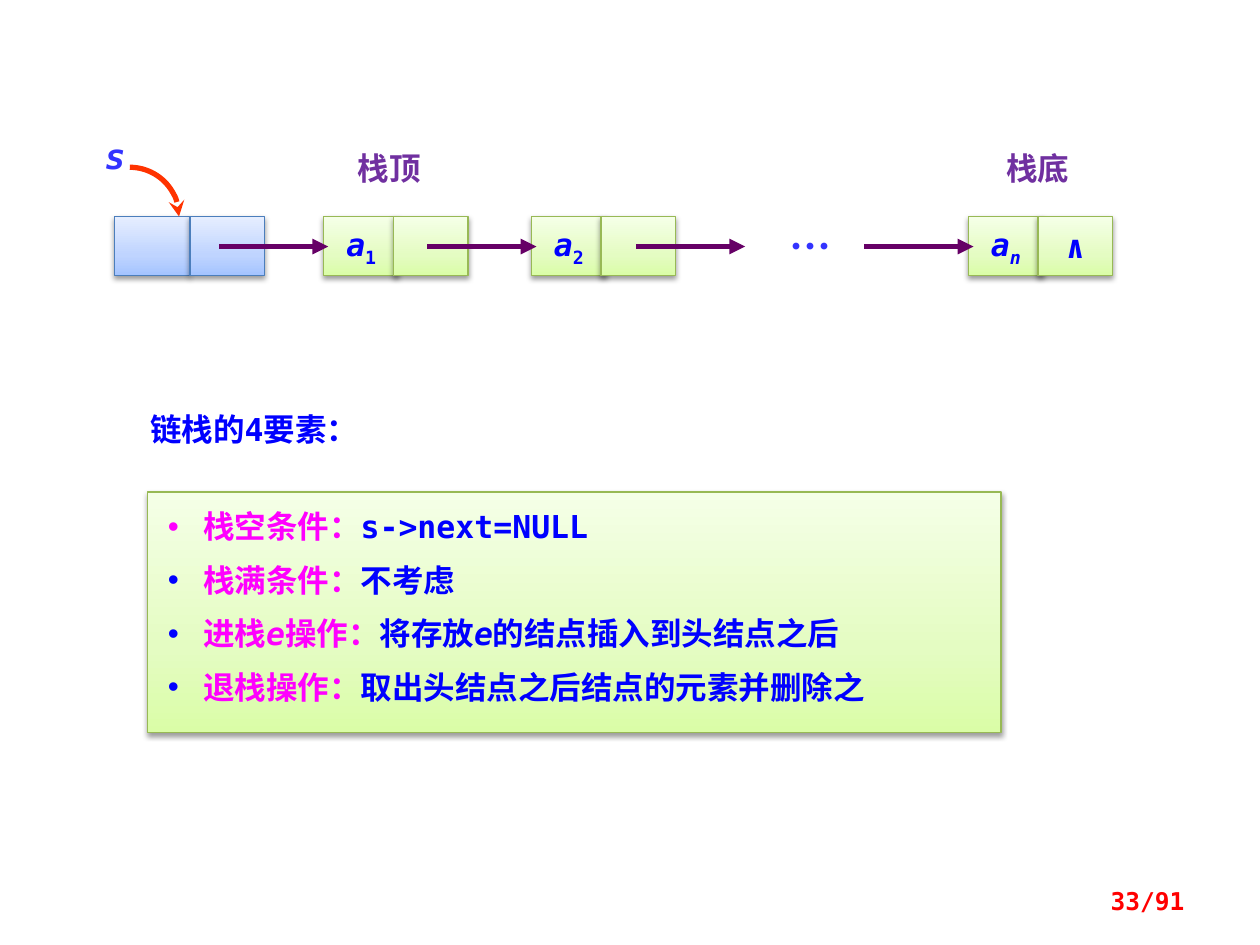
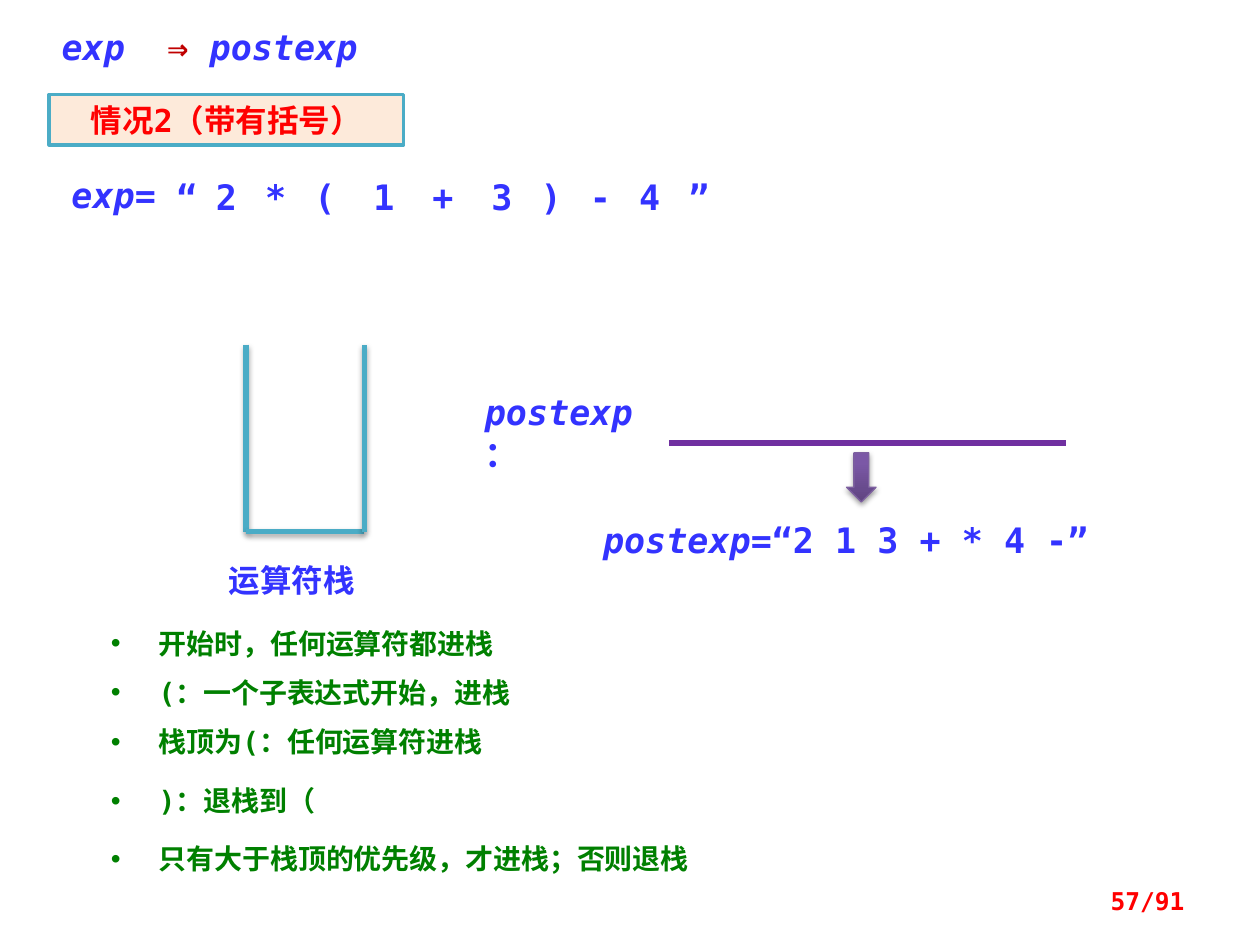
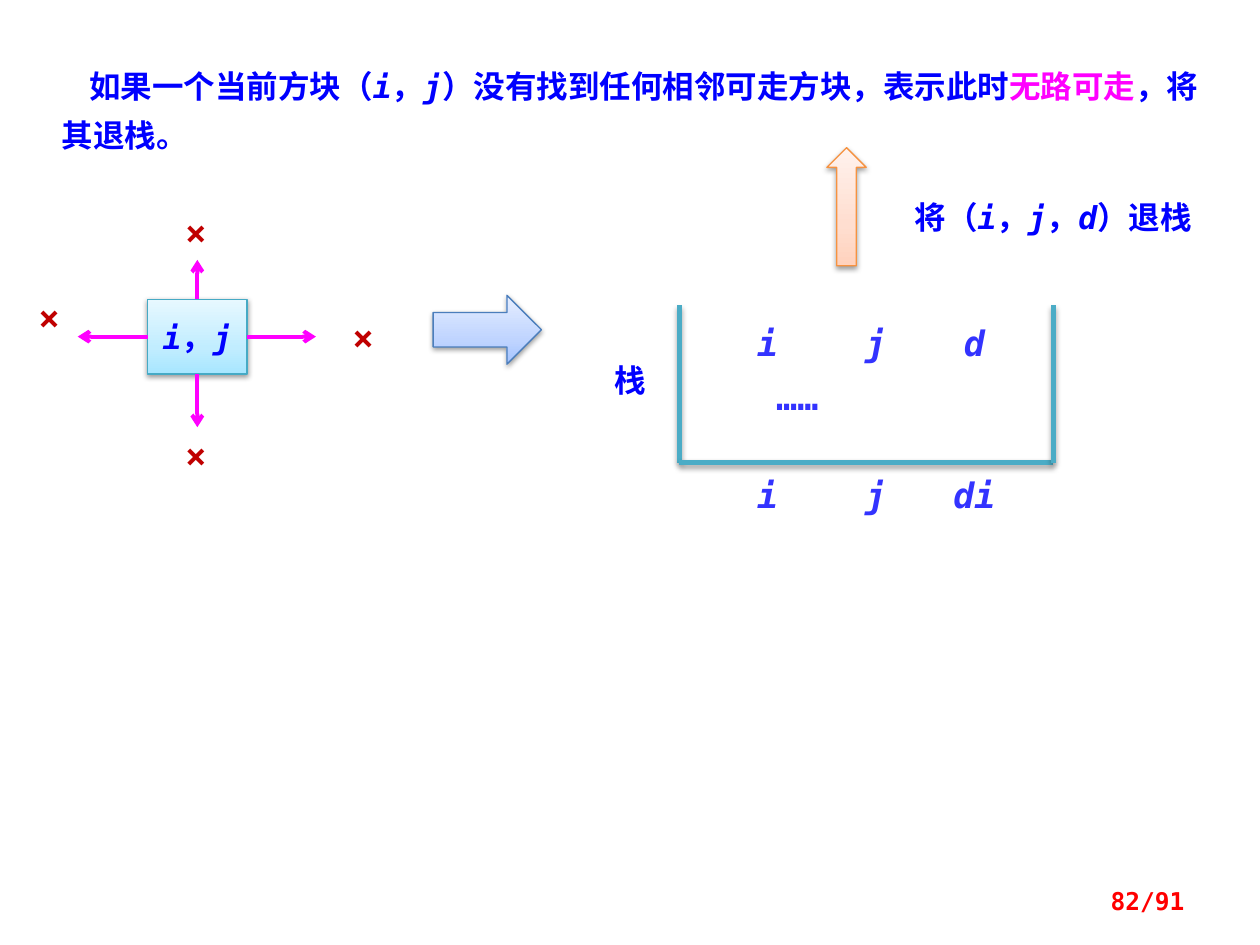
from lxml import etree
from pptx import Presentation, util as u
from pptx.dml.color import RGBColor
from pptx.enum import shapes, text
from pptx.oxml.ns import qn

COLUMNS, ROWS = 128, 96
MONO, CJK = "DejaVu Sans Mono", "Noto Sans CJK SC"
PAGE_COUNT = 91
COLORS = {
    "blue": "0000FF", "indigo": "3333FF", "magenta": "FF00FF", "red": "FF0000",
    "crimson": "C00000", "violet": "7030A0", "plum": "660066", "green": "008000",
    "orange": "FF3300", "teal": "4BACC6", "cream": "FDEADA", "black": "000000",
}
# Each theme: outline colour, then gradient stops from bottom to top
GRADIENTS = {
    "lime": ("98B955", {0: "DAFDA7", 35: "E4FCC2", 100: "F5FFE7"}),
    "sky": ("4B7EBC", {0: "A4C4FF", 35: "BFD4FF", 100: "E6EEFF"}),
    "aqua": ("46AAC5", {0: "A7E6FF", 35: "C1EDFF", 100: "E7F8FF"}),
    "peach": ("F69240", {0: "FFD2BD", 35: "FFDED0", 100: "FFF2ED"}),
    "purple": ("7D60A0", {0: "5F4480", 80: "7B58A6", 100: "7C57A8"}),
}
ALIGN = {"left": text.PP_ALIGN.LEFT, "center": text.PP_ALIGN.CENTER,
         "right": text.PP_ALIGN.RIGHT}
ITALIC, UPRIGHT = {"italic": True}, {"italic": False}
SYMBOL = dict(size=20, color="indigo")
VARIABLE = dict(SYMBOL, italic=True)


def rgb(name):
    return RGBColor.from_string(COLORS.get(name, name))


def add_xml(parent, tag, **attributes):
    return etree.SubElement(parent, qn(f"a:{tag}"),
                            {key: str(value) for key, value in attributes.items()})


def add_bullet(para, color, indent):
    props = para._p.get_or_add_pPr()
    props.set("marL", str(u.Inches(indent)))
    props.set("indent", str(-u.Inches(indent)))
    add_xml(add_xml(props, "buClr"), "srgbClr", val=COLORS[color])
    add_xml(props, "buFont", typeface="Arial")
    add_xml(props, "buChar", char="•")


def write_span(para, words, size=18, font=MONO, color="blue", bold=True,
               italic=False, baseline=0):
    span = para.add_run()
    span.text = words
    span.font.size, span.font.name = u.Pt(size), font
    span.font.bold, span.font.italic = bold, italic
    span.font.color.rgb = rgb(color)
    props = span._r.get_or_add_rPr()
    if baseline:
        props.set("baseline", str(baseline * 1000))
    add_xml(props, "ea", typeface=font)


def write(para, spans, align="left", bullet=None, indent=0.38, first_line=0,
          tab=None, line_pt=None, before=0, **style):
    """Fill a paragraph; spans is a string or a list of strings and (string, style)."""
    para.alignment = ALIGN[align]
    if before:
        para.space_before = u.Pt(before)
    if line_pt:
        para.line_spacing = u.Pt(line_pt)
    if first_line:
        para._p.get_or_add_pPr().set("indent", str(u.Inches(first_line)))
    if bullet:
        add_bullet(para, bullet, indent)
    if tab:
        stops = add_xml(para._p.get_or_add_pPr(), "tabLst")
        add_xml(stops, "tab", pos=u.Inches(tab), algn="l")
    for span in [spans] if isinstance(spans, str) else spans:
        words, change = (span, {}) if isinstance(span, str) else span
        write_span(para, words, **{**style, **change})


class Board:
    """Draws on the current slide; all places are in grid columns and rows."""

    def __init__(self):
        self.deck = Presentation()
        self.deck.slide_width, self.deck.slide_height = u.Inches(10), u.Inches(7.5)
        self.page = None

    def new_page(self, number):
        self.page = self.deck.slides.add_slide(self.deck.slide_layouts[6])
        self.text(91.8, 89, 29.8, f"{number}/{PAGE_COUNT}", height=5.1,
                  middle=True, align="right", size=14, color="red")

    def grid(self, *places):
        """Turn alternating columns and rows into lengths."""
        units = self.deck.slide_width / COLUMNS, self.deck.slide_height / ROWS
        return [round(place * units[i % 2]) for i, place in enumerate(places)]

    def text(self, left, top, width, spans, height=5.6, inset=True, middle=False,
             **style):
        box = self.page.shapes.add_textbox(*self.grid(left, top, width, height))
        frame = box.text_frame
        frame.word_wrap = True
        if middle:
            frame.vertical_anchor = text.MSO_ANCHOR.MIDDLE
        if not inset:
            frame.margin_left = frame.margin_right = 0
            frame.margin_top = frame.margin_bottom = 0
        write(frame.paragraphs[0], spans, **style)

    def shadow(self, effects, alpha, distance):
        shade = add_xml(effects, "outerShdw", blurRad=u.Pt(3.1), dist=u.Pt(distance),
                        dir=5400000, rotWithShape=0)
        color = add_xml(shade, "srgbClr", val=COLORS["black"])
        add_xml(color, "alpha", val=alpha * 1000)

    def shape(self, kind, left, top, width, height, theme):
        shape = self.page.shapes.add_shape(
            getattr(shapes.MSO_SHAPE, kind), *self.grid(left, top, width, height))
        outline, stops = GRADIENTS[theme]
        shape.line.color.rgb, shape.line.width = rgb(outline), u.Pt(0.75)
        shape.fill.gradient()
        shape.fill.gradient_angle = 90
        props = shape._element.spPr
        stop_list = props.find(".//" + qn("a:gsLst"))
        stop_list.clear()
        for place, color in stops.items():
            add_xml(add_xml(stop_list, "gs", pos=place * 1000), "srgbClr", val=color)
        shape.shadow.inherit = False
        self.shadow(props.find(qn("a:effectLst")), 38, 1.6)
        return shape

    def cell(self, left, top, width, height, theme, spans=None):
        box = self.shape("RECTANGLE", left, top, width, height, theme)
        if spans:
            box.text_frame.word_wrap = False
            box.text_frame.vertical_anchor = text.MSO_ANCHOR.MIDDLE
            write(box.text_frame.paragraphs[0], spans, align="center")
        return box

    def line(self, start, end, color, width=3, head=None, shaded=False,
             source=None, side=0):
        line = self.page.shapes.add_connector(
            shapes.MSO_CONNECTOR.STRAIGHT, *self.grid(*start, *end))
        if source is not None:
            line.begin_connect(source, side)
        line.line.color.rgb, line.line.width = rgb(color), u.Pt(width)
        if head:
            add_xml(line.line._get_or_add_ln(), "tailEnd", type=head)
        effects = add_xml(line._element.spPr, "effectLst")
        if shaded:
            self.shadow(effects, 35, 1.8)

    def open_stack(self, left, top, right, bottom):
        corners = [(left, top), (left, bottom), (right, bottom), (right, top)]
        for start, end in zip(corners, corners[1:]):
            self.line(start, end, "teal", shaded=True)

    def curved_arrow(self, left, top, size):
        arc = self.page.shapes.add_shape(
            shapes.MSO_SHAPE.ARC, *self.grid(left, top, size, size))
        arc.shadow.inherit = False
        arc.fill.background()
        arc.line.color.rgb, arc.line.width = rgb("orange"), u.Pt(3)
        add_xml(arc.line._get_or_add_ln(), "tailEnd", type="stealth")


def linked_stack(board):
    board.new_page(33)
    board.text(14, 41, 32.3, "链栈的4要素：")

    panel = board.shape("RECTANGLE", 15, 50, 86.7, 24.4, "lime")
    frame = panel.text_frame
    frame.vertical_anchor = text.MSO_ANCHOR.TOP
    frame.margin_left = frame.margin_right = u.Inches(0.16)
    frame.margin_top = frame.margin_bottom = u.Inches(0.12)
    elements = [
        ("栈空条件：", ["s->next=NULL"]),
        ("栈满条件：", ["不考虑"]),
        (["进栈", ("e", ITALIC), "操作："],
         ["将存放", ("e", ITALIC), "的结点插入到头结点之后"]),
        ("退栈操作：", ["取出头结点之后结点的元素并删除之"]),
    ]
    for index, (label, meaning) in enumerate(elements):
        para = frame.paragraphs[0] if index == 0 else frame.add_paragraph()
        pink = {"color": "magenta"}
        parts = [label] if isinstance(label, str) else label
        label_spans = [(part, pink) if isinstance(part, str)
                       else (part[0], {**part[1], **pink}) for part in parts]
        write(para, label_spans + meaning, indent=0.28, before=9 if index else 0,
              bullet="blue" if index else "magenta")

    top, height, width, step = 22, 6, 7.6, 7.05
    for left in (11.65, 19.3):
        board.cell(left, top, width, height, "sky")
    nodes = [(32.9, "1", UPRIGHT, None), (54, "2", UPRIGHT, None),
             (98.4, "n", ITALIC, "∧")]
    for left, number, slant, link in nodes:
        name = [("a", ITALIC), (number, {**slant, "baseline": -25})]
        board.cell(left, top, width, height, "lime", name)
        board.cell(left + step, top, width, height, "lime", link)
    for left in (22.25, 43.4, 64.6, 87.8):
        board.line((left, 25.05), (left + 11.1, 25.05), "plum", head="triangle")
    board.text(76.2, 21.8, 12.2, "…", height=6.4, align="center",
               size=24, font=CJK, color="indigo")

    board.curved_arrow(8.2, 17, 10)
    board.text(8.7, 13, 6, "s", align="center", **VARIABLE)
    for left, label in ((32.5, "栈顶"), (98.4, "栈底")):
        board.text(left, 14.5, 14.1, label, align="center", font=CJK, color="violet")


def postfix_conversion(board):
    board.new_page(57)
    board.text(5, 2, 35, ["exp\t", ("⇒ ", {"color": "crimson", **UPRIGHT}), "postexp"],
               tab=0.84, **VARIABLE)
    banner = board.page.shapes.add_shape(
        shapes.MSO_SHAPE.RECTANGLE, *board.grid(5, 9.6, 36, 5.12))
    banner.shadow.inherit = False
    banner.fill.solid()
    banner.fill.fore_color.rgb = rgb("cream")
    banner.line.color.rgb, banner.line.width = rgb("teal"), u.Pt(2)
    write(banner.text_frame.paragraphs[0], "情况2（带有括号）", align="center", color="red")

    board.text(6, 17, 13, ["exp", ("=", UPRIGHT)], **VARIABLE)
    columns = (16, 20, 25, 30, 36, 42, 48, 53, 58, 63, 68)
    for left, token in zip(columns, "“2*(1+3)-4”"):
        board.text(left, 17.8, 6, token, height=4.4, inset=False, align="center",
                   **SYMBOL)

    board.open_stack(25, 35, 37, 54)
    board.text(22, 56.4, 18, "运算符栈", font=CJK, color="indigo")
    board.text(48, 39, 20, ["postexp", ("：", UPRIGHT)], **VARIABLE)
    board.line((68, 45), (108.3, 45), "violet")
    board.shape("DOWN_ARROW", 86, 46, 3, 5, "purple")
    board.text(60, 52, 57, ["postexp", ("=“2 1 3 + * 4 -”", UPRIGHT)], **VARIABLE)

    rules = [
        (63, "开始时，任何运算符都进栈"),
        (68, "(：一个子表达式开始，进栈"),
        (73, "栈顶为(：任何运算符进栈"),
        (79, ")：退栈到（"),
        (84.9, "只有大于栈顶的优先级，才进栈；否则退栈"),
    ]
    for top, rule in rules:
        board.text(10, top, 73, rule, height=4.7, bullet="green", size=16,
                   color="green")


def maze_backtrack(board):
    board.new_page(82)
    board.text(5, 5, 121, [
        "如果一个当前方块（", ("i", ITALIC), "，", ("j", ITALIC),
        "）没有找到任何相邻可走方块，表示此时", ("无路可走", {"color": "magenta"}),
        "，将其退栈。"], height=11, first_line=0.22, line_pt=28)

    square = board.cell(15, 30.4, 10.1, 7.6, "aqua",
                        [("i", ITALIC), "，", ("j", ITALIC)])
    exits = [((20.05, 26.4), (15.9, 20.7)), ((7.9, 34.2), (1, 29.4)),
             ((20.05, 43.4), (15.9, 43.4)), ((32.1, 34.2), (32.9, 31.4))]
    for side, (tip, mark) in enumerate(exits):
        board.line((20, 34), tip, "magenta", width=2.25, head="arrow",
                   source=square, side=side)
        board.text(*mark, 8, "×", align="center", size=20, color="crimson")

    board.shape("RIGHT_ARROW", 44, 30, 11, 7, "sky")
    board.shape("UP_ARROW", 84, 15, 4, 12, "peach")
    board.text(90, 19.5, 34, ["将（", ("i", ITALIC), "，", ("j", ITALIC), "，",
                              ("d", ITALIC), "）退栈"], align="center")
    board.open_stack(69, 31, 107, 47)
    board.text(58, 36, 12, "栈", align="center", font=CJK)
    for top, entry in ((32, ("i", "j", "d")), (47.5, ("i", "j", "di"))):
        for left, name in zip((73, 84, 94), entry):
            board.text(left, top, 10, name, align="center", **VARIABLE)
    board.text(72, 37.5, 18, "……", align="center", **SYMBOL)


def main():
    board = Board()
    for draw_page in (linked_stack, postfix_conversion, maze_backtrack):
        draw_page(board)
    board.deck.save("out.pptx")


if __name__ == "__main__":
    main()
